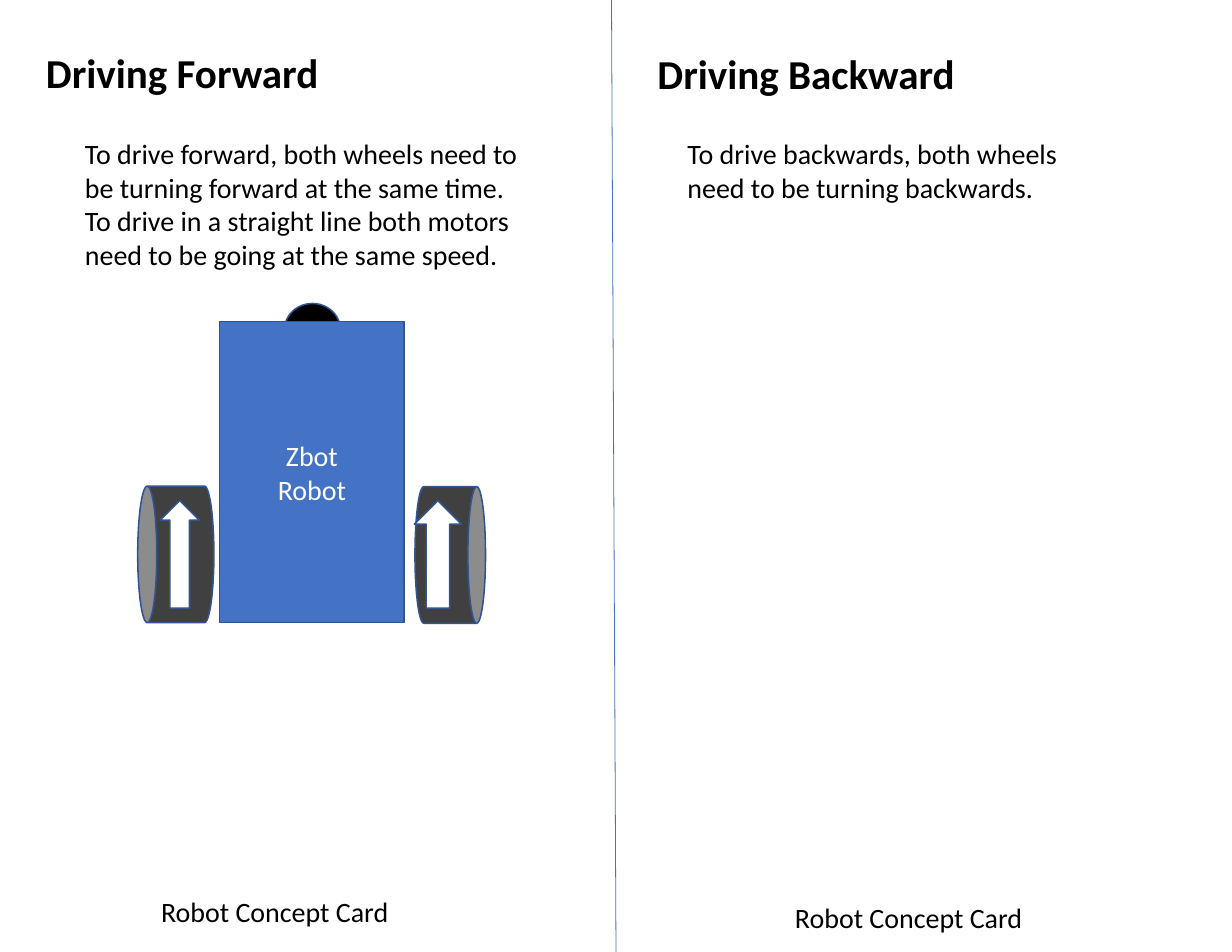
from dataclasses import dataclass

from lxml import etree
from pptx import Presentation
from pptx.dml.color import RGBColor
from pptx.enum.shapes import MSO_CONNECTOR, MSO_SHAPE
from pptx.enum.text import MSO_ANCHOR, MSO_AUTO_SIZE, PP_ALIGN
from pptx.oxml.ns import qn
from pptx.util import Inches, Pt

STRAIGHT = MSO_CONNECTOR.STRAIGHT
OVAL, RECTANGLE = MSO_SHAPE.OVAL, MSO_SHAPE.RECTANGLE
CAN, UP_ARROW = MSO_SHAPE.CAN, MSO_SHAPE.UP_ARROW
BOTTOM, MIDDLE = MSO_ANCHOR.BOTTOM, MSO_ANCHOR.MIDDLE
LEFT, CENTER = PP_ALIGN.LEFT, PP_ALIGN.CENTER
NO_AUTOFIT = MSO_AUTO_SIZE.NONE

FONT = "Calibri"
COLORS = {
    "body": "4472C4",
    "outline": "325491",
    "tyre": "404040",
    "text": "000000",
    "sensor": "000000",
    "white": "FFFFFF",
}
Box = tuple[float, float, float, float]


@dataclass
class Card:
    placeholder_idx: int
    heading: str
    heading_box: Box
    line_spacing: float
    explanation: str
    explanation_box: Box
    footer_box: Box


@dataclass
class RobotPart:
    preset: int
    box: Box
    color: str
    rotation: float = 0
    label: str = ""


CARDS = [
    Card(1, "Driving Forward", (0.31, 0.39, 4.65, 0.53), 0.9,
         "To drive forward, both wheels need to be turning forward at the same time. "
         "To drive in a straight line both motors need to be going at the same speed.",
         (0.66, 1.17, 4.15, 1.31), (1.34, 7.94, 2.47, 0.4)),
    Card(3, "Driving Backward", (5.77, 0.43, 4.65, 0.49), 0.8,
         "To drive backwards, both wheels need to be turning backwards.",
         (6.04, 1.17, 3.64, 0.71), (7, 7.99, 2.47, 0.4)),
]
ROBOT = [
    RobotPart(OVAL, (2.54, 2.71, 0.5, 0.47), "sensor"),
    RobotPart(RECTANGLE, (1.96, 2.87, 1.65, 2.69), "body", label="Zbot\vRobot"),
    RobotPart(CAN, (3.41, 4.64, 1.22, 0.63), "tyre", 90),
    RobotPart(CAN, (0.96, 4.61, 1.22, 0.68), "tyre", 270),
    RobotPart(UP_ARROW, (3.7, 4.47, 0.42, 0.96), "white"),
    RobotPart(UP_ARROW, (1.43, 4.47, 0.35, 0.96), "white"),
]


def rgb(name: str) -> RGBColor:
    return RGBColor.from_string(COLORS[name])


def write(shape, text: str, size: float = 18, color: str = "text",
          bold: bool = False, align=LEFT) -> None:
    frame = shape.text_frame
    frame.word_wrap = True
    paragraph = frame.paragraphs[0]
    paragraph.text = text
    paragraph.alignment = align
    for run in paragraph.runs:
        run.font.name = FONT
        run.font.size = Pt(size)
        run.font.bold = bold
        run.font.color.rgb = rgb(color)


def add_divider(slide) -> None:
    divider = slide.shapes.add_connector(
        STRAIGHT, Inches(5.46), Inches(0), Inches(5.5), Inches(8.5))
    divider.line.color.rgb = rgb("body")
    divider.line.width = Pt(0.5)
    etree.SubElement(divider._element.spPr, qn("a:effectLst"))


def add_text(slide, box: Box, text: str) -> None:
    write(slide.shapes.add_textbox(*map(Inches, box)), text)


def add_card(slide, card: Card) -> None:
    heading = next(p for p in slide.placeholders
                   if p.placeholder_format.idx == card.placeholder_idx)
    heading.left, heading.top, heading.width, heading.height = map(Inches, card.heading_box)
    write(heading, card.heading, 26.4, bold=True)
    heading.text_frame.auto_size = NO_AUTOFIT
    heading.text_frame.vertical_anchor = BOTTOM
    paragraph = heading.text_frame.paragraphs[0]
    paragraph.line_spacing = card.line_spacing
    paragraph.space_before = Pt(0)
    add_text(slide, card.explanation_box, card.explanation)
    add_text(slide, card.footer_box, "Robot Concept Card")


def add_part(slide, part: RobotPart) -> None:
    shape = slide.shapes.add_shape(part.preset, *map(Inches, part.box))
    shape.rotation = part.rotation
    shape.shadow.inherit = False
    shape.fill.solid()
    shape.fill.fore_color.rgb = rgb(part.color)
    shape.line.color.rgb = rgb("outline")
    shape.line.width = Pt(1)
    if part.label:
        write(shape, part.label, color="white", align=CENTER)
        shape.text_frame.vertical_anchor = MIDDLE


def main() -> None:
    presentation = Presentation()
    presentation.slide_width = Inches(11)
    presentation.slide_height = Inches(8.5)
    comparison = presentation.slide_layouts.get_by_name("Comparison")
    slide = presentation.slides.add_slide(comparison)
    add_divider(slide)
    for card in CARDS:
        add_card(slide, card)
    for part in ROBOT:
        add_part(slide, part)
    for placeholder in list(slide.placeholders):
        if not placeholder.text_frame.text:
            placeholder.element.getparent().remove(placeholder.element)
    presentation.save("out.pptx")


if __name__ == "__main__":
    main()
